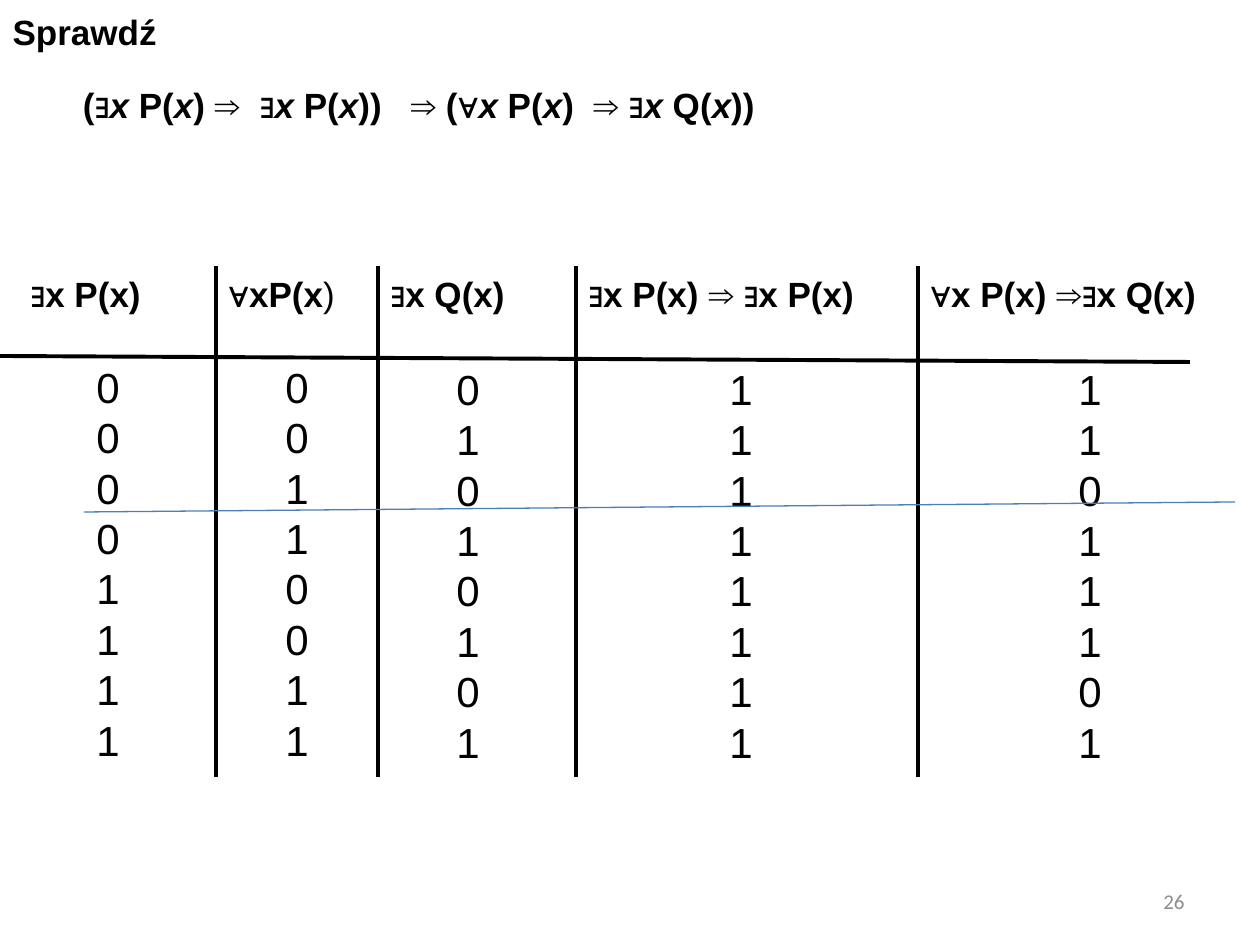
from dataclasses import dataclass

from lxml import etree
from pptx import Presentation
from pptx import util as u
from pptx.dml.color import RGBColor
from pptx.enum import shapes, text
from pptx.oxml.ns import qn

PX_PER_INCH = 126
COLOURS = {"ink": "000000", "strike": "4B7EBC", "number": "8C8C8C"}
RULE_TOP, RULE_BOTTOM = 266, 777
HEADER_HEIGHT = 91
VALUES_WIDTH, VALUES_HEIGHT = 216, 421


@dataclass
class Column:
    header: list[tuple[str, bool]]
    left: int
    right: int
    values: str
    values_left: int
    values_top: int


COLUMNS = [
    Column([("∃x P(x)", True)], 18, 216, "00001111", 0, 355),
    Column([("∀xP(x", True), (")", False)], 216, 378, "00110011", 189, 355),
    Column([("∃x Q(x)", True)], 378, 576, "01010101", 360, 357),
    Column([("∃x P(x) ⇒ ∃x P(x)", True)], 576, 918, "11111111", 633, 357),
    Column([("∀x P(x) ⇒∃x Q(x)", True)], 918, 1260, "11011101", 982, 357),
]
FORMULA = "(∃x P(x) ⇒  ∃x P(x))   ⇒ (∀x P(x)  ⇒ ∃x Q(x))"


def px(length: int) -> u.Emu:
    return u.Emu(round(length * u.Inches(1) / PX_PER_INCH))


def place(shape, left: int, top: int, width: int, height: int) -> None:
    shape.left, shape.top = px(left), px(top)
    shape.width, shape.height = px(width), px(height)


def add_span(para, words: str, *, size: int = 20, bold: bool = False, italic: bool = False,
             font: str = "Arial", colour: str = "ink") -> None:
    span = para.add_run()
    span.text = words
    span.font.size = u.Pt(size)
    span.font.bold, span.font.italic = bold, italic
    span.font.name = font
    span.font.color.rgb = RGBColor.from_string(COLOURS[colour])


def add_box(page, left: int, top: int, width: int, height: int, wrap: bool = True):
    """Add an empty text box and return its text frame."""
    box = page.shapes.add_textbox(px(left), px(top), px(width), px(height))
    box.text_frame.word_wrap = wrap
    return box.text_frame


def add_line(page, start: tuple[int, int], end: tuple[int, int],
             colour: str = "ink", weight: float = 2.25) -> None:
    line = page.shapes.add_connector(
        shapes.MSO_CONNECTOR.STRAIGHT, px(start[0]), px(start[1]), px(end[0]), px(end[1]))
    line.line.color.rgb = RGBColor.from_string(COLOURS[colour])
    line.line.width = u.Pt(weight)
    etree.SubElement(line._element.spPr, qn("a:effectLst"))


def add_title(page) -> None:
    title = page.shapes.title
    place(title, 0, 0, 970, 84)
    frame = title.text_frame
    frame.vertical_anchor = text.MSO_ANCHOR.TOP
    frame.auto_size = text.MSO_AUTO_SIZE.NONE
    frame.margin_top = px(10)
    para = frame.paragraphs[0]
    para.alignment = text.PP_ALIGN.LEFT
    add_span(para, "Sprawdź", bold=True)


def add_formula(page) -> None:
    """Write the formula with every variable x in italics."""
    frame = add_box(page, 59, 69, 767, 87, wrap=False)
    frame.margin_top = px(8)
    para = frame.paragraphs[0]
    add_span(para, " ", size=24, bold=True)
    for index, part in enumerate(FORMULA.split("x")):
        if index:
            add_span(para, "x", bold=True, italic=True)
        add_span(para, part, bold=True)


def add_column(page, column: Column) -> None:
    header = add_box(page, column.left, RULE_TOP, column.right - column.left, HEADER_HEIGHT)
    for words, bold in column.header:
        add_span(header.paragraphs[0], words, bold=bold)
    values = add_box(page, column.values_left, column.values_top, VALUES_WIDTH, VALUES_HEIGHT)
    for index, value in enumerate(column.values):
        para = values.add_paragraph() if index else values.paragraphs[0]
        para.alignment = text.PP_ALIGN.CENTER
        add_span(para, value, size=24)


def add_page_number(page) -> None:
    frame = add_box(page, 903, 876, 294, 50)
    frame.vertical_anchor = text.MSO_ANCHOR.MIDDLE
    frame.paragraphs[0].alignment = text.PP_ALIGN.RIGHT
    add_span(frame.paragraphs[0], "26", size=12, font="Calibri", colour="number")


def main() -> None:
    deck = Presentation()
    deck.slide_width, deck.slide_height = u.Inches(10), u.Inches(7.5)
    page = deck.slides.add_slide(deck.slide_layouts.get_by_name("Title Only"))
    add_title(page)
    add_page_number(page)
    add_formula(page)
    for column in COLUMNS[1:]:
        add_line(page, (column.left, RULE_TOP), (column.left, RULE_BOTTOM))
    add_line(page, (0, 356), (1190, 362))
    for column in COLUMNS:
        add_column(page, column)
    add_line(page, (84, 512), (1235, 502), colour="strike", weight=0.75)
    deck.save("out.pptx")


if __name__ == "__main__":
    main()
